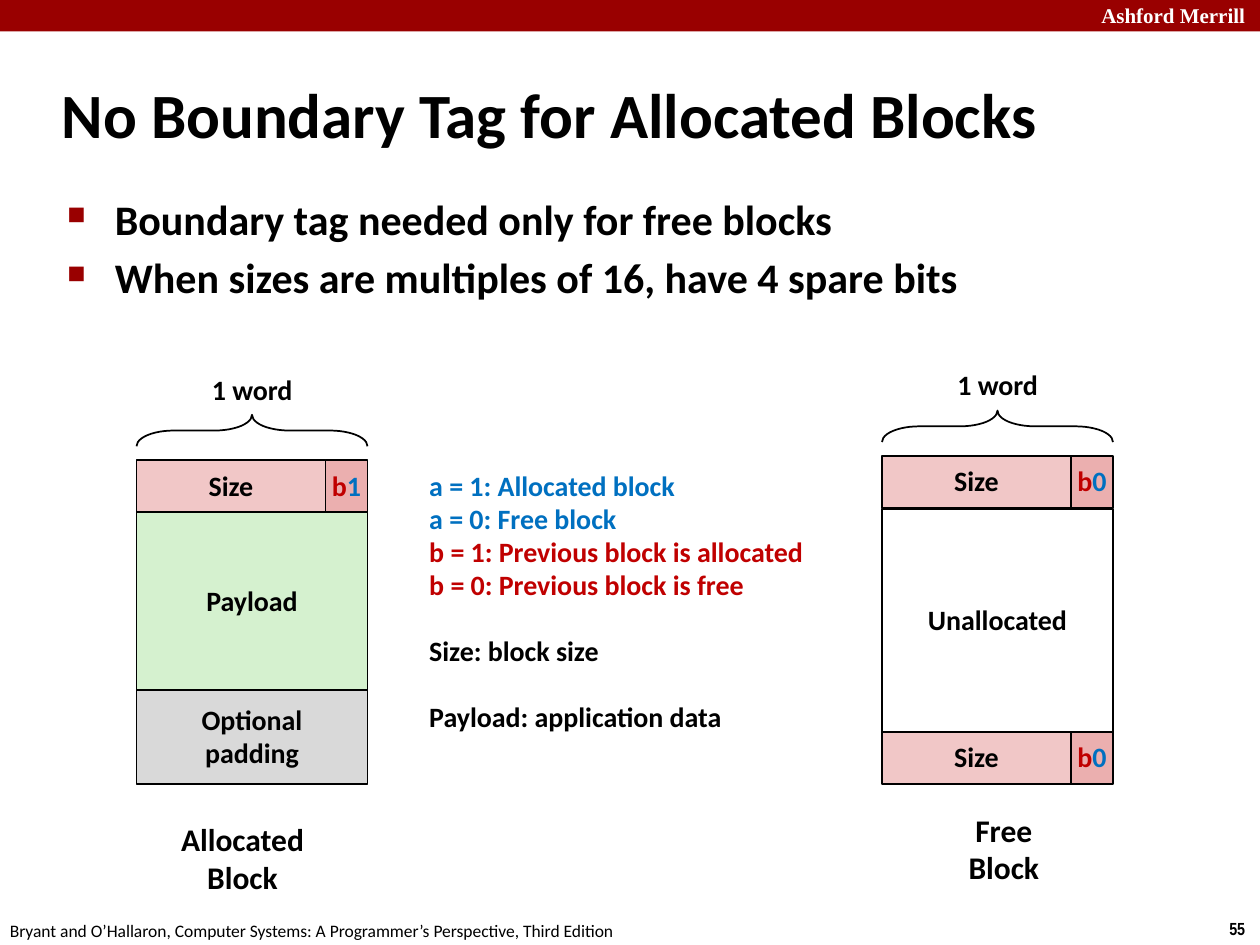
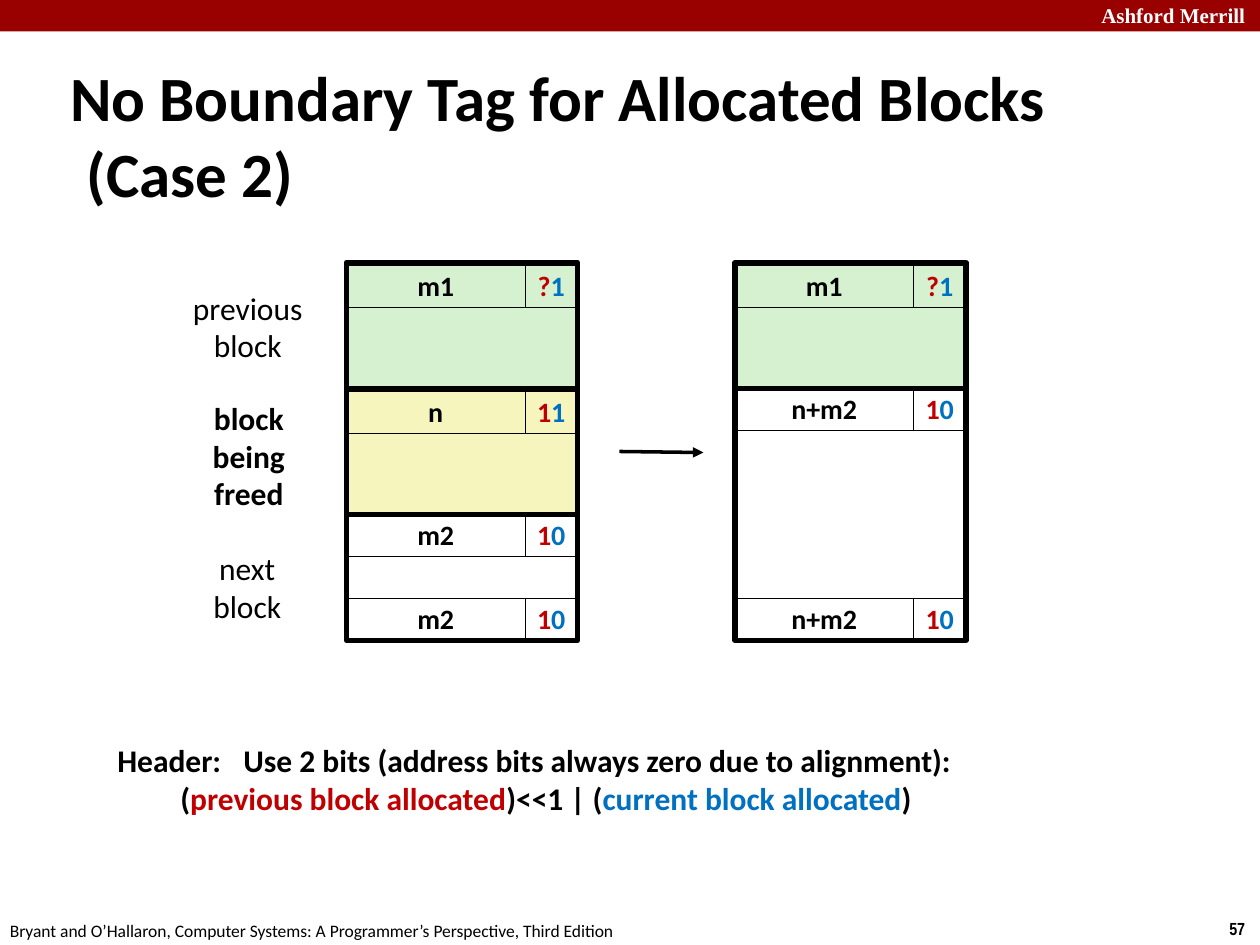
from lxml.etree import SubElement
from pptx import Presentation
from pptx.dml.color import RGBColor
from pptx.enum.shapes import MSO_CONNECTOR, MSO_SHAPE
from pptx.enum.text import MSO_ANCHOR, MSO_AUTO_SIZE, PP_ALIGN
from pptx.oxml.ns import qn
from pptx.util import Inches, Pt

COLS, ROWS = 120, 90  # the slide grid: square cells, 12 to the inch
COLOURS = {
    "band": "990000", "black": "000000", "white": "FFFFFF",
    "previous": "C00000", "current": "0070C0",
    "size": "F1C7C7", "bits": "EBAFAF", "allocated": "D5F1CF",
    "padding": "D9D9D9", "freed": "F6F5BD",
}
BLOCK_W = 22   # width of every memory block
ROW_H = 4      # height of one word on the heap slide
HEAP_TOP = 25


def grid(*cells):
    return [Inches(c / 12) for c in cells]


def rgb(name):
    return RGBColor.from_string(COLOURS[name])


def write(tf, paragraphs, size=16, font="Calibri", colour="black", bold=True,
          align=PP_ALIGN.LEFT, anchor=MSO_ANCHOR.TOP, wrap=False,
          spacing=None, before=0, hanging=0):
    """Fill a text frame; a paragraph is a string or a list of (text, colour)."""
    tf.word_wrap = wrap
    tf.vertical_anchor = anchor
    for i, runs in enumerate(paragraphs):
        p = tf.paragraphs[0] if i == 0 else tf.add_paragraph()
        p.alignment = align
        p.space_before = Pt(before)
        if spacing:
            p.line_spacing = spacing
        if hanging:
            pPr = p._p.get_or_add_pPr()
            pPr.set("marL", str(Inches(hanging)))
            pPr.set("indent", str(-Inches(hanging)))
        for text, run_colour in [(runs, colour)] if isinstance(runs, str) else runs:
            r = p.add_run()
            r.text = text
            r.font.name, r.font.size, r.font.bold = font, Pt(size), bold
            r.font.color.rgb = rgb(run_colour)


def add_text(s, at, paragraphs, **style):
    tf = s.shapes.add_textbox(*grid(*at)).text_frame
    write(tf, paragraphs, **style)
    if not tf.word_wrap:
        tf.auto_size = MSO_AUTO_SIZE.SHAPE_TO_FIT_TEXT
    return tf


def add_box(s, at, fill=None, line=1, paragraphs=(), shape=MSO_SHAPE.RECTANGLE):
    sp = s.shapes.add_shape(shape, *grid(*at))
    sp.shadow.inherit = False
    if fill:
        sp.fill.solid()
        sp.fill.fore_color.rgb = rgb(fill)
    else:
        sp.fill.background()
    if line:
        sp.line.color.rgb = rgb("black")
        sp.line.width = Pt(line)
    else:
        sp.line.fill.background()
    if paragraphs:
        write(sp.text_frame, paragraphs, align=PP_ALIGN.CENTER,
              anchor=MSO_ANCHOR.MIDDLE, spacing=0.98)
    return sp


def add_arrow(s, x1, y1, x2, y2):
    c = s.shapes.add_connector(MSO_CONNECTOR.STRAIGHT, *grid(x1, y1, x2, y2))
    c.line.color.rgb = rgb("black")
    c.line.width = Pt(2)
    SubElement(c.line._get_or_add_ln(), qn("a:tailEnd"), type="triangle")
    SubElement(c._element.spPr, qn("a:effectLst"))


def add_bullets(s, at, items):
    tf = add_text(s, at, items, size=24, wrap=True, before=4.8, hanging=0.38)
    for p in tf.paragraphs:
        pPr = p._p.get_or_add_pPr()
        colour = SubElement(pPr, qn("a:buClr"))
        SubElement(colour, qn("a:srgbClr"), val=COLOURS["band"])
        SubElement(pPr, qn("a:buSzPct"), val="60000")
        SubElement(pPr, qn("a:buChar"), char="■")


def add_slide(prs, number, title, title_at):
    """Blank slide with the shared band, footer, page number and title style."""
    s = prs.slides.add_slide(prs.slide_layouts[6])
    add_box(s, (0, 0, COLS, 3), "band", line=0)
    add_text(s, (103.7, -0.36, 17.2, 3.6), ["Ashford Merrill"], size=12,
             font="Times New Roman", colour="white")
    add_text(s, (115.9, 86.8, 4.1, 3.2), [number], size=10, font="Arial Narrow")
    add_text(s, (-0.24, 87, 61, 3.2),
             ["Bryant and O’Hallaron, Computer Systems: "
              "A Programmer’s Perspective, Third Edition"],
             size=10, bold=False)
    add_text(s, title_at, [title], size=36, anchor=MSO_ANCHOR.MIDDLE,
             wrap=True, hanging=0.13)
    return s


def bit_pair(previous, current):
    return [[(previous, "previous"), (current, "current")]]


def add_tag(s, x, y, current):
    """Size word of a block format, with its flag bits at the right."""
    add_box(s, (x, y, 18, 5), "size", paragraphs=["Size"])
    add_box(s, (x + 18, y, 4, 5), "bits", paragraphs=bit_pair("b", current))


def add_word_brace(s, x, block_top):
    add_text(s, (x + 6, block_top - 8.8, 10.2, 4.4), ["1 word"], spacing=0.98)
    depth, middle = 3, block_top - 2.8
    brace = add_box(s, (x + (BLOCK_W - depth) / 2, middle - BLOCK_W / 2,
                        depth, BLOCK_W), shape=MSO_SHAPE.RIGHT_BRACE)
    brace.adjustments[0] = 1.188
    brace.rotation = 270


def add_heap_block(s, x, row, rows, fill, size, bits, footer=False, drop=0):
    """Framed block on the heap; drop shifts its words down a little."""
    def y(n):
        return HEAP_TOP + n * ROW_H + drop

    def add_word(n):
        add_box(s, (x, y(n), 17, ROW_H), fill, 0.25, [size])
        add_box(s, (x + 17, y(n), 5, ROW_H), fill, 0.25, bit_pair(*bits))

    body_rows = rows - 1 - footer
    add_box(s, (x, y(row + 1), BLOCK_W, body_rows * ROW_H), fill, 0.25)
    add_word(row)
    if footer:
        add_word(row + rows - 1)
    add_box(s, (x, y(row) - drop, BLOCK_W, rows * ROW_H), line=3)


def build_formats(prs):
    s = add_slide(prs, "55", "No Boundary Tag for Allocated Blocks",
                  (4.7, 5.8, 99.6, 10))
    add_bullets(s, (5.2, 17.8, 110.8, 11.8),
                ["Boundary tag needed only for free blocks",
                 "When sizes are multiples of 16, have 4 spare bits"])

    x, top = 13, 43.8
    add_word_brace(s, x, top)
    add_tag(s, x, top, "1")
    add_box(s, (x, 48.8, BLOCK_W, 16.9), "allocated", paragraphs=["Payload"])
    add_box(s, (x, 65.7, BLOCK_W, 9), "padding",
            paragraphs=["Optional", "padding"])

    x, top = 84, 43.4
    add_word_brace(s, x, top)
    add_tag(s, x, top, "0")
    add_box(s, (x, 48.5, BLOCK_W, 21.2), paragraphs=["Unallocated"])
    add_tag(s, x, 69.7, "0")

    for at, name in [((16, 77.5, 14.2, 8.5), "Allocated"),
                     ((91, 76.6, 9.2, 8.5), "Free")]:
        add_text(s, at, [name, "Block"], size=18, align=PP_ALIGN.CENTER)

    legend = add_text(s, (39.7, 44.2, 38.5, 26.5), [
        [("a = 1: Allocated block", "current")],
        [("a = 0: Free block", "current")],
        [("b = 1: Previous block is allocated", "previous")],
        [("b = 0: Previous block is free", "previous")],
        "Size: block size",
        "Payload: application data"], spacing=0.98)
    for p in legend.paragraphs[4:]:
        p.space_before = Pt(19)


def build_case_2(prs):
    s = add_slide(prs, "57", "No Boundary Tag for Allocated Blocks (Case 2)",
                  (5.5, 9, 109, 7.6))
    before, after = 33, 70
    add_heap_block(s, before, 0, 3, "allocated", "m1", "?1", drop=0.3)
    add_heap_block(s, before, 3, 3, "freed", "n", "11", drop=0.3)
    add_heap_block(s, before, 6, 3, "white", "m2", "10", footer=True)
    add_arrow(s, 59, 43, 67, 43.1)
    add_heap_block(s, after, 0, 3, "allocated", "m1", "?1", drop=0.3)
    add_heap_block(s, after, 3, 6, "white", "n+m2", "10", footer=True)

    for at, lines, bold in [
            ((17, 26.9, 13.2, 8.5), ["previous", "block"], False),
            ((19, 37.4, 9.4, 12.1), ["block", "being", "freed"], True),
            ((19, 51.7, 9.1, 8.5), ["next", "block"], False)]:
        add_text(s, at, lines, size=18, bold=bold, align=PP_ALIGN.CENTER)

    add_text(s, (10, 70, 84.7, 8.5), [
        "Header:\tUse 2 bits (address bits always zero due to alignment):",
        [("\t(", "black"), ("previous block allocated", "previous"),
         (")<<1 | (", "black"), ("current block allocated", "current"),
         (")", "black")]], size=18)


def main():
    prs = Presentation()
    prs.slide_width, prs.slide_height = grid(COLS, ROWS)
    build_formats(prs)
    build_case_2(prs)
    prs.save("out.pptx")


if __name__ == "__main__":
    main()
